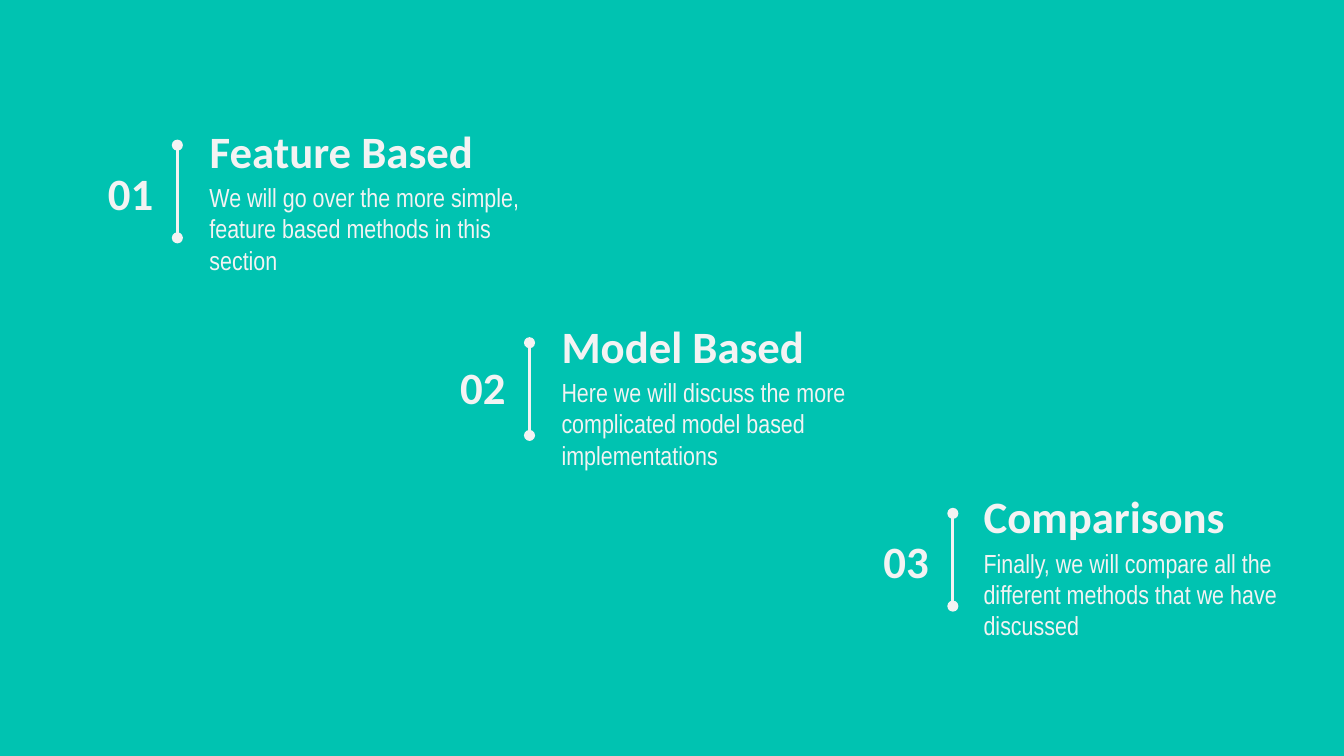
from dataclasses import dataclass

from lxml import etree
from pptx import Presentation
from pptx.dml.color import RGBColor
from pptx.enum.shapes import MSO_CONNECTOR
from pptx.enum.text import MSO_ANCHOR, MSO_AUTO_SIZE, PP_ALIGN
from pptx.oxml.ns import qn
from pptx.util import Inches, Pt

STRAIGHT = MSO_CONNECTOR.STRAIGHT
TOP, MIDDLE = MSO_ANCHOR.TOP, MSO_ANCHOR.MIDDLE
LEFT, RIGHT = PP_ALIGN.LEFT, PP_ALIGN.RIGHT
NO_AUTOFIT = MSO_AUTO_SIZE.NONE


@dataclass(frozen=True)
class Theme:
    background: RGBColor = RGBColor.from_string("00C3B1")
    ink: RGBColor = RGBColor.from_string("F3F3F3")
    heading_font: str = "Calibri"
    body_font: str = "Arial Narrow"
    heading_size: int = 24
    body_size: int = 14
    line_width: float = 1.5


@dataclass(frozen=True)
class Section:
    heading: str
    body: str
    left: float
    top: float
    number_top: float
    line_left: float
    line_top: float
    body_height: float = 0.84


THEME = Theme()
TEXT_WIDTH = 2.56
HEADING_HEIGHT = 0.46
BODY_OFFSET = 0.36
NUMBER_OFFSET = 0.74
NUMBER_WIDTH = 0.66
LINE_LENGTH = 0.69

SECTIONS = [
    Section("Feature Based",
            "We will go over the more simple, feature based methods in this section",
            1.46, 0.89, 1.2, 1.32, 1.08),
    Section("Model Based",
            "Here we will discuss the more complicated model based implementations",
            4.08, 2.34, 2.65, 3.94, 2.55, 0.99),
    Section("Comparisons",
            "Finally, we will compare all the different methods that we have discussed",
            7.22, 3.61, 3.94, 7.09, 3.82),
]


def place(box, left, top, width, height):
    box.left, box.top = Inches(left), Inches(top)
    box.width, box.height = Inches(width), Inches(height)


def write_text(box, text, anchor, align=LEFT):
    frame = box.text_frame
    frame.word_wrap = True
    frame.auto_size = NO_AUTOFIT
    frame.vertical_anchor = anchor
    frame.margin_left = frame.margin_right = Inches(0.1)
    frame.margin_top = frame.margin_bottom = Inches(0.1)
    para = frame.paragraphs[0]
    para.text = text
    para.alignment = align
    para.line_spacing = 1.0
    para.space_before = Pt(0)
    para.font.color.rgb = THEME.ink
    return para


def style_heading(box, text, align=LEFT):
    font = write_text(box, text, MIDDLE, align).font
    font.name = THEME.heading_font
    font.size = Pt(THEME.heading_size)
    font.bold = True


def add_box(page, left, top, width, height):
    return page.shapes.add_textbox(
        Inches(left), Inches(top), Inches(width), Inches(height))


def add_body(page, section):
    box = add_box(page, section.left, section.top + BODY_OFFSET,
                  TEXT_WIDTH, section.body_height)
    para = write_text(box, section.body, TOP)
    para.space_after = Pt(16)
    para.font.name = THEME.body_font
    para.font.size = Pt(THEME.body_size)


def add_number(page, section, number):
    box = add_box(page, section.line_left - NUMBER_OFFSET, section.number_top,
                  NUMBER_WIDTH, HEADING_HEIGHT)
    style_heading(box, f"{number:02d}", RIGHT)


def add_divider(page, section):
    x = Inches(section.line_left)
    divider = page.shapes.add_connector(
        STRAIGHT, x, Inches(section.line_top),
        x, Inches(section.line_top + LINE_LENGTH))
    divider.line.color.rgb = THEME.ink
    divider.line.width = Pt(THEME.line_width)
    outline = divider.line._get_or_add_ln()
    for end in ("a:headEnd", "a:tailEnd"):
        etree.SubElement(outline, qn(end), type="oval", w="med", len="med")
    etree.SubElement(divider._element.spPr, qn("a:effectLst"))


def main():
    deck = Presentation()
    deck.slide_width = Inches(10)
    deck.slide_height = deck.slide_width * 9 // 16
    page = deck.slides.add_slide(deck.slide_layouts[5])
    page.background.fill.solid()
    page.background.fill.fore_color.rgb = THEME.background

    for number, section in enumerate(SECTIONS, start=1):
        area = (section.left, section.top, TEXT_WIDTH, HEADING_HEIGHT)
        if number == 1:
            heading = page.shapes.title
            place(heading, *area)
        else:
            heading = add_box(page, *area)
        style_heading(heading, section.heading)
        add_body(page, section)
        add_number(page, section, number)
        add_divider(page, section)

    deck.save("out.pptx")


if __name__ == "__main__":
    main()
